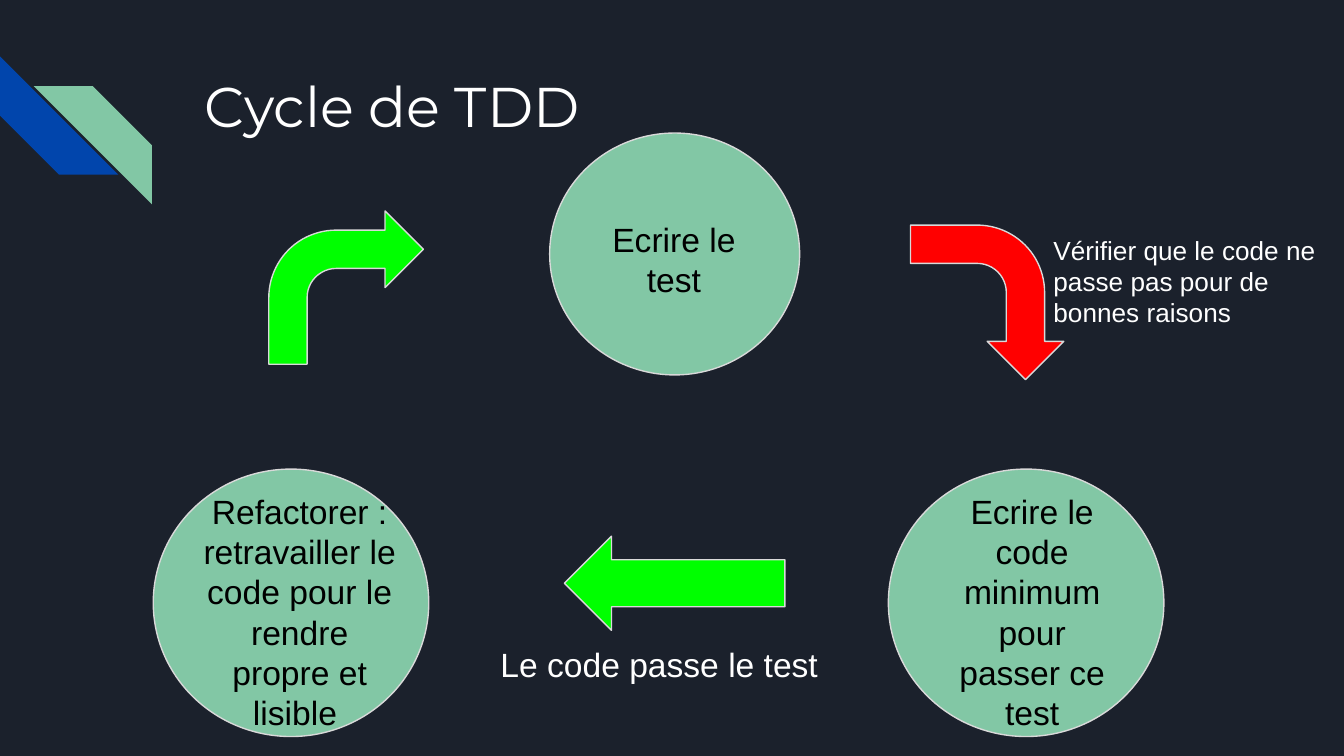
import pptx
import pptx.util
import pptx.dml.color
import pptx.enum.shapes
import pptx.enum.text
from dataclasses import dataclass

Inches = pptx.util.Inches
Pt = pptx.util.Pt
Shape = pptx.enum.shapes.MSO_SHAPE
Align = pptx.enum.text.PP_ALIGN


@dataclass(frozen=True)
class Theme:
    back: str = "1B212C"
    blue: str = "0145AC"
    mint: str = "82C7A5"
    edge: str = "D9D9D9"
    go: str = "00FF00"
    stop: str = "FF0000"
    light: str = "FFFFFF"
    dark: str = "000000"
    head: str = "Montserrat"
    body: str = "Arial"
    title: int = 30
    text: int = 18
    note: int = 14


theme = Theme()


def color(code):
    return pptx.dml.color.RGBColor.from_string(code)


def add_form(slide, kind, box, fill, edge=None, turn=0, adjust=()):
    form = slide.shapes.add_shape(kind, *map(Inches, box))
    form.shadow.inherit = False
    form.rotation = turn
    for i, value in enumerate(adjust):
        form.adjustments[i] = value
    form.fill.solid()
    form.fill.fore_color.rgb = color(fill)
    if edge:
        form.line.color.rgb = color(edge)
        form.line.width = Pt(0.75)
    else:
        form.line.fill.background()


def write(frame, lines, size, ink, font, align):
    """Fill a text frame with one paragraph for each line."""
    frame.word_wrap = True
    frame.auto_size = pptx.enum.text.MSO_AUTO_SIZE.NONE
    frame.vertical_anchor = pptx.enum.text.MSO_ANCHOR.TOP
    frame.margin_left = frame.margin_right = Inches(0.1)
    frame.margin_top = frame.margin_bottom = Inches(0.1)
    for i, line in enumerate(lines):
        para = frame.add_paragraph() if i else frame.paragraphs[0]
        para.alignment = align
        para.line_spacing = 1.0
        run = para.add_run()
        run.text = line
        run.font.name = font
        run.font.size = Pt(size)
        run.font.color.rgb = color(ink)


def add_label(slide, box, lines, size=theme.text, ink=theme.light, align=Align.CENTER):
    label = slide.shapes.add_textbox(*map(Inches, box))
    write(label.text_frame, lines, size, ink, theme.body, align)


def add_stripes(slide, left, top, side):
    """Draw the two slanted bands of the left margin."""
    for dx, dy, turn, fill in ((0, 0, 270, theme.blue), (0.25, 0.22, 90, theme.mint)):
        add_form(slide, Shape.DIAGONAL_STRIPE, (left + dx, top + dy, side, side),
                 fill, turn=turn, adjust=[0.5])


def add_title(slide, box, text):
    title = slide.shapes.title
    title.left, title.top, title.width, title.height = map(Inches, box)
    write(title.text_frame, [text], theme.title, theme.light, theme.head, Align.LEFT)


def add_step(slide, box, inner, lines):
    """Draw a circle; inner is its text box relative to the circle."""
    left, top, width, height = box
    dx, dy, wide, high = inner
    add_form(slide, Shape.OVAL, box, theme.mint, theme.edge)
    add_label(slide, (left + dx, top + dy, wide, high), lines, ink=theme.dark)


def add_cycle(slide, left, top):
    def at(x, y, width, height):
        return left + x, top + y, width, height

    add_step(slide, at(2.95, 0, 1.86, 1.8), (0.29, 0.54, 1.27, 0.73),
             ["Ecrire le test"])
    add_step(slide, at(5.47, 2.5, 2.05, 1.99), (0.34, 0.06, 1.46, 1.44),
             ["Ecrire le code minimum pour passer ce test"])
    add_step(slide, at(0, 2.5, 2.05, 1.99), (0.27, 0.06, 1.64, 1.8),
             ["Refactorer :", "retravailler le code pour le rendre propre et lisible "])

    bend = [0.25, 0.25, 0.25, 0.44]
    for kind, box, fill, turn, adjust in (
        (Shape.BENT_ARROW, at(0.86, 0.58, 1.15, 1.14), theme.go, 0, bend),
        (Shape.BENT_ARROW, at(5.63, 0.69, 1.15, 1.14), theme.stop, 90, bend),
        (Shape.LEFT_ARROW, at(3.06, 3, 1.64, 0.7), theme.go, 0, [0.5, 0.5]),
    ):
        add_form(slide, kind, box, fill, theme.edge, turn, adjust)

    add_label(slide, at(6.6, 0.65, 2.26, 0.85),
              ["Vérifier que le code ne passe pas pour de bonnes raisons"],
              size=theme.note, align=Align.LEFT)
    add_label(slide, at(2.39, 3.7, 2.75, 0.85), ["Le code passe le test"])


def main():
    deck = pptx.Presentation()
    deck.slide_width = Inches(10)
    deck.slide_height = deck.slide_width * 9 // 16
    slide = deck.slides.add_slide(deck.slide_layouts.get_by_name("Title Only"))
    slide.background.fill.solid()
    slide.background.fill.fore_color.rgb = color(theme.back)
    add_stripes(slide, 0, 0.42, 0.88)
    add_title(slide, (1.42, 0.43, 7.7, 1), "Cycle de TDD")
    add_cycle(slide, 1.14, 0.99)
    deck.save("out.pptx")


if __name__ == "__main__":
    main()
